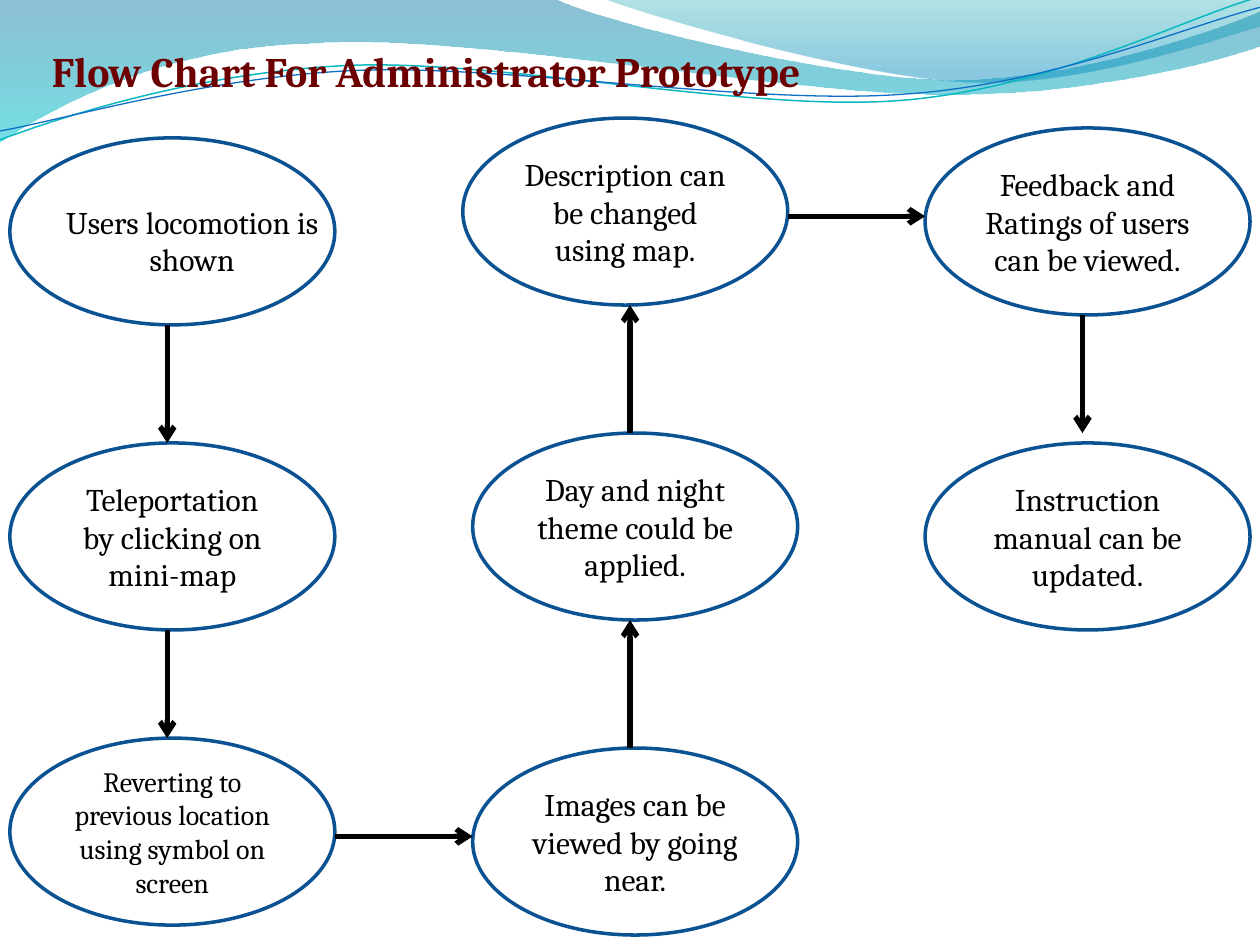
from dataclasses import dataclass
from itertools import islice, pairwise

from lxml import etree
from pptx import Presentation, slide as sl, util as u
from pptx.dml import color
from pptx.enum import shapes, text
from pptx.oxml import ns
from pptx.shapes import autoshape
from pptx.text import text as tx

COLORS = {
    "title": "6C0000",
    "text": "000000",
    "arrow": "000000",
    "outline": "0B5292",
    "deep_blue": "0074A1",
    "cyan": "00C6CF",
    "teal": "00A1A9",
    "sky": "008BBF",
    "teal_line": "0AB8BF",
    "blue_line": "0F6FC6",
}
FONT = "Cambria"
STEP_WIDTH, STEP_HEIGHT = 6.55, 3.77
ARROW_X, ARROW_Y = 3.17, 1.98  # where arrows meet a step, from its left and top

Segment = tuple[float, ...]


@dataclass(frozen=True)
class Step:
    """One ellipse of the flow, in centimetres."""
    label: str
    left: float
    top: float
    size: int = 18
    gap_before: float = 0
    separate_label: bool = False


@dataclass(frozen=True)
class Stop:
    """One gradient stop, with its opacity in percent."""
    color: str
    position: float
    opacity: int


@dataclass(frozen=True)
class Wave:
    """An outline: a start, then lines (2 numbers) or Bezier curves (6 numbers)."""
    start: tuple[float, float]
    segments: tuple[Segment, ...]
    stops: tuple[Stop, ...] = ()
    line_color: str = ""
    line_width: float = 0


STEPS = (
    Step("Users locomotion is shown", 0.2, 2.78, separate_label=True),
    Step("Teleportation by clicking on mini-map", 0.2, 8.93),
    Step("Reverting to previous location using symbol on screen", 0.2, 14.88, size=16),
    Step("Images can be viewed by going near.", 9.53, 15.08),
    Step("Day and night theme could be applied.", 9.53, 8.73),
    Step("Description can be changed using map.", 9.33, 2.38),
    Step("Feedback and Ratings of users can be viewed.", 18.65, 2.58),
    Step("Instruction manual can be updated.", 18.65, 8.93, gap_before=0.2),
)

WAVES = (
    Wave((0, 0), (
        (11.18, -0.03),
        (12.09, 0.43, 16.87, 1.6, 19.25, 1.6),
        (21.67, 1.6, 24.33, 0.66, 25.4, 0.23),
        (25.43, 0.91),
        (24.97, 1.12, 22.1, 1.93, 18.95, 1.9),
        (15.8, 1.9, 9.7, 0.71, 6.53, 0.86),
        (3.28, 0.91, 1.17, 2.11, -0.03, 2.87),
        (0, 0),
    ), stops=(Stop("deep_blue", 0, 45), Stop("cyan", 1, 55))),
    Wave((12.17, -0.03), (
        (12.93, 0.28, 17.32, 1.57, 19.53, 1.65),
        (21.74, 1.75, 24.41, 0.81, 25.4, 0.53),
        (25.4, 0),
        (12.17, -0.03),
    ), stops=(Stop("teal", 0, 30), Stop("sky", 0.8, 45))),
    Wave((0, 2.82), (
        (1.22, 2.36, 4.01, 1.45, 7.04, 1.32),
        (10.03, 1.19, 15.06, 2.26, 18.11, 2.03),
        (21.16, 1.8, 23.83, 0.38, 25.35, -0.05),
    ), line_color="teal_line", line_width=0.85),
    Wave((0, 2.64), (
        (1.19, 2.44, 4.17, 1.55, 7.19, 1.42),
        (10.24, 1.3, 15.16, 2.13, 18.21, 1.9),
        (21.23, 1.7, 23.9, 0.53, 25.4, 0.15),
    ), line_color="blue_line", line_width=0.75),
)


def rgb(name: str) -> color.RGBColor:
    """Look up a colour of the palette."""
    return color.RGBColor.from_string(COLORS[name])


def bend_lines(shape: autoshape.Shape, segments: tuple[Segment, ...]) -> None:
    """Join the three lines of each six-number segment into a Bezier curve."""
    outline = next(shape.element.spPr.iter(ns.qn("a:path")))
    lines = iter(outline.findall(ns.qn("a:lnTo")))
    for segment in segments:
        group = list(islice(lines, len(segment) // 2))
        if len(group) == 3:
            curve = etree.Element(ns.qn("a:cubicBezTo"))
            group[0].addprevious(curve)
            for line in group:
                curve.append(line[0])
                outline.remove(line)


def fill_gradient(shape: autoshape.Shape, stops: tuple[Stop, ...]) -> None:
    """Fill a shape from top to bottom with translucent colours."""
    shape.fill.gradient()
    shape.fill.gradient_angle = 270
    for target, stop in zip(shape.fill.gradient_stops, stops):
        target.color.rgb = rgb(stop.color)
        target.position = stop.position
    for element, stop in zip(shape.element.spPr.iter(ns.qn("a:srgbClr")), stops):
        etree.SubElement(element, ns.qn("a:alpha"), val=str(stop.opacity * 1000))


def add_wave(slide: sl.Slide, wave: Wave) -> None:
    """Draw a filled wave or a thin wavy line."""
    points = [(u.Cm(x), u.Cm(y)) for segment in wave.segments
              for x, y in zip(segment[::2], segment[1::2])]
    builder = slide.shapes.build_freeform(*map(u.Cm, wave.start))
    builder.add_line_segments(points, close=bool(wave.stops))
    shape = builder.convert_to_shape()
    bend_lines(shape, wave.segments)
    shape.shadow.inherit = False
    if wave.stops:
        fill_gradient(shape, wave.stops)
        shape.line.fill.background()
    else:
        shape.fill.background()
        shape.line.color.rgb = rgb(wave.line_color)
        shape.line.width = u.Pt(wave.line_width)


def write(frame: tx.TextFrame, words: str, size: int, color_name: str = "text",
          bold: bool = False, align: text.PP_ALIGN = text.PP_ALIGN.CENTER) -> None:
    """Write one formatted run into a wrapping text frame."""
    frame.word_wrap = True
    paragraph = frame.paragraphs[0]
    paragraph.alignment = align
    run = paragraph.add_run()
    run.text = words
    run.font.name = FONT
    run.font.size = u.Pt(size)
    run.font.bold = bold
    run.font.color.rgb = rgb(color_name)


def add_title(slide: sl.Slide, words: str) -> None:
    """Place the title in front of the waves."""
    title = slide.shapes.title
    title.left, title.top = u.Cm(0.79), u.Cm(0.79)
    title.width, title.height = u.Cm(18.01), u.Cm(1.27)
    title.text_frame.vertical_anchor = text.MSO_ANCHOR.TOP
    title.text_frame.auto_size = text.MSO_AUTO_SIZE.SHAPE_TO_FIT_TEXT
    write(title.text_frame, words, 24, "title", True, text.PP_ALIGN.LEFT)
    title.element.getparent().append(title.element)


def add_step(slide: sl.Slide, step: Step) -> None:
    """Draw an outlined ellipse with its label."""
    ellipse = slide.shapes.add_shape(
        shapes.MSO_SHAPE.OVAL, u.Cm(step.left), u.Cm(step.top),
        u.Cm(STEP_WIDTH), u.Cm(STEP_HEIGHT))
    ellipse.shadow.inherit = False
    ellipse.fill.background()
    ellipse.line.color.rgb = rgb("outline")
    ellipse.line.width = u.Pt(2)
    frame = ellipse.text_frame
    frame.vertical_anchor = text.MSO_ANCHOR.MIDDLE
    if step.separate_label:
        frame = slide.shapes.add_textbox(
            u.Cm(step.left + 0.79), u.Cm(step.top + 1.18), u.Cm(5.77), u.Cm(1.8)).text_frame
    write(frame, step.label, step.size)


def add_arrow(slide: sl.Slide, source: Step, target: Step) -> None:
    """Link two steps, vertically within a column and else to the right."""
    if abs(source.left - target.left) < 1:
        x = source.left + ARROW_X
        if target.top > source.top:
            ends = (x, source.top + STEP_HEIGHT, x, target.top - target.gap_before)
        else:
            ends = (x, source.top, x, target.top + STEP_HEIGHT)
    else:
        y = source.top + ARROW_Y
        ends = (source.left + STEP_WIDTH, y, target.left, y)
    arrow = slide.shapes.add_connector(shapes.MSO_CONNECTOR.STRAIGHT, *map(u.Cm, ends))
    arrow.line.color.rgb = rgb("arrow")
    arrow.line.width = u.Pt(3)
    properties = arrow.element.spPr
    etree.SubElement(properties.find(ns.qn("a:ln")), ns.qn("a:tailEnd"), type="arrow")
    etree.SubElement(properties, ns.qn("a:effectLst"))


presentation = Presentation()
presentation.slide_width, presentation.slide_height = u.Cm(25.4), u.Cm(19.05)
flow_slide = presentation.slides.add_slide(presentation.slide_layouts[5])
for wave in WAVES:
    add_wave(flow_slide, wave)
add_title(flow_slide, "Flow Chart For Administrator\u00a0Prototype")
for step in STEPS:
    add_step(flow_slide, step)
for source, target in pairwise(STEPS):
    add_arrow(flow_slide, source, target)
presentation.save("out.pptx")
